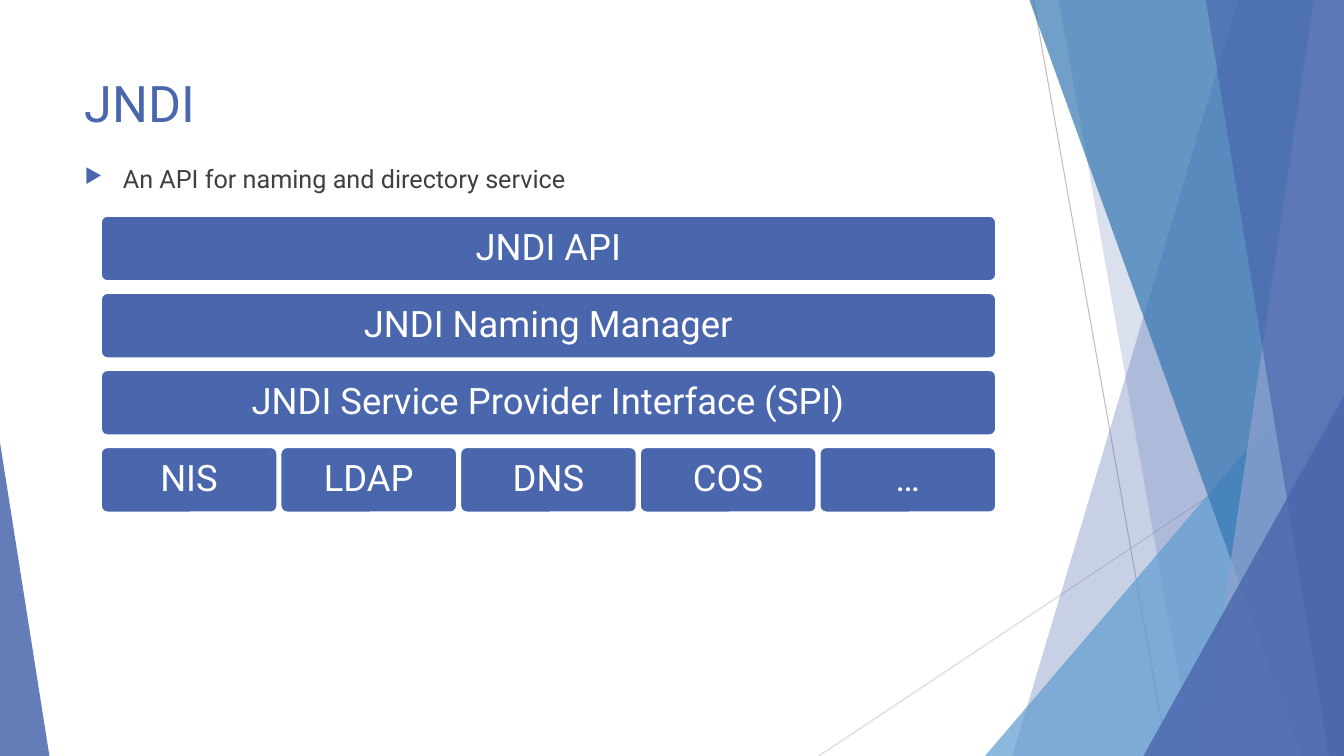
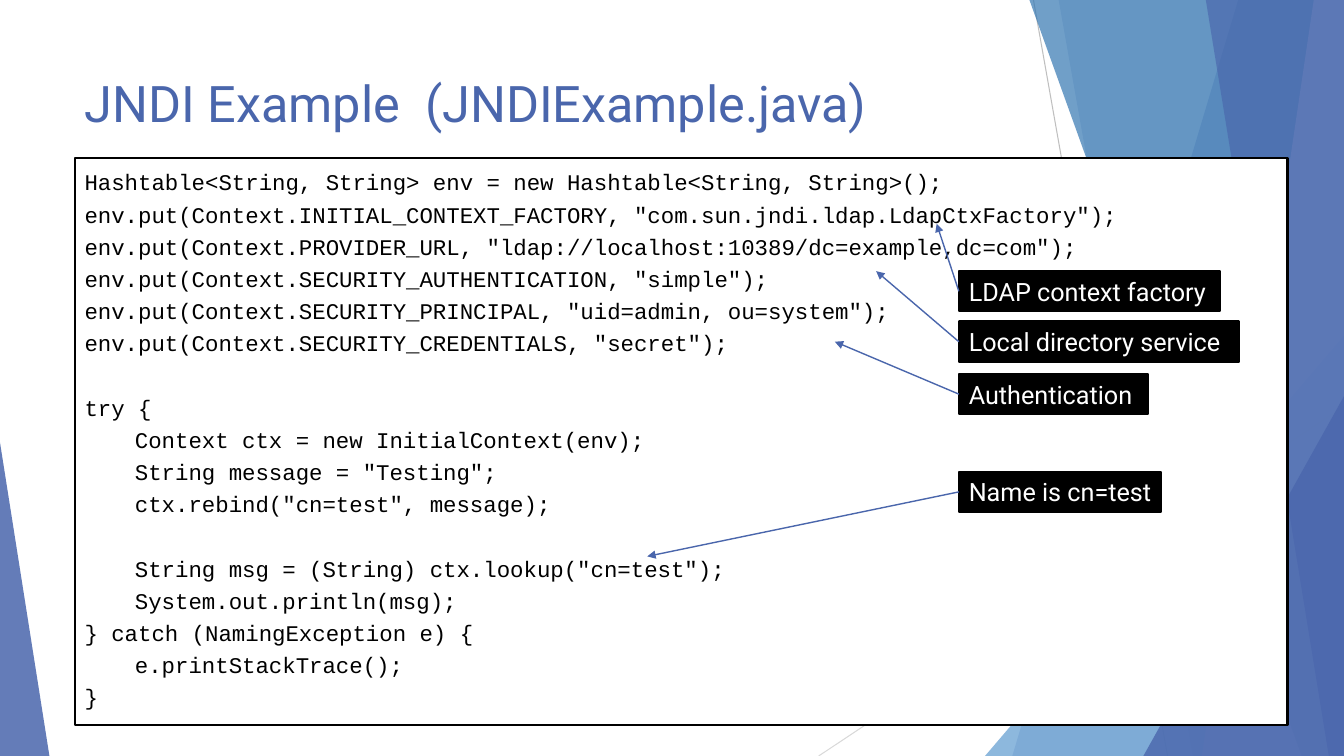
from lxml import etree
from pptx import Presentation
from pptx.dml.color import RGBColor
from pptx.enum.shapes import MSO_CONNECTOR, MSO_SHAPE
from pptx.enum.text import MSO_ANCHOR, PP_ALIGN
from pptx.oxml.ns import qn
from pptx.util import Pt

PX = 9144  # 100 px to the inch
WIDE, HIGH = 1333, 750
BLUE, SKY, DEEP, PALE = "4A66AC", "629DD1", "3477B2", "90A2CF"
BLACK, WHITE, DARK = "000000", "FFFFFF", "404040"
SANS, MONO = "Roboto", "Courier New"

# Backdrop, from back to front
RAYS = [((1025, 0), (1158, 750), "BFBFBF"), ((1333, 403), (812, 750), "D9D9D9")]
FACETS = [  # band: left edge at top and bottom; wedge: box and peak
    ("band", (1228, 1004), BLUE, 30),
    ("band", (1050, 1183), BLUE, 20),
    ("wedge", (977, 333, 356, 417, 1), SKY, 72),
    ("band", (1021, 1291), DEEP, 70),
    ("band", (1303, 1192), PALE, 70),
    ("band", (1196, 1318), BLUE, 65),
    ("wedge", (1134, 393, 199, 357, 1), BLUE, 80),
    ("wedge", (0, 439, 49, 311, 0), BLUE, 85),
]

STACK = [
    ["JNDI API"],
    ["JNDI Naming Manager"],
    ["JNDI Service Provider Interface (SPI)"],
    ["NIS", "LDAP", "DNS", "COS", "…"],
]

CODE = """Hashtable<String, String> env = new Hashtable<String, String>();
env.put(Context.INITIAL_CONTEXT_FACTORY, "com.sun.jndi.ldap.LdapCtxFactory");
env.put(Context.PROVIDER_URL, "ldap://localhost:10389/dc=example,dc=com");
env.put(Context.SECURITY_AUTHENTICATION, "simple");
env.put(Context.SECURITY_PRINCIPAL, "uid=admin, ou=system");
env.put(Context.SECURITY_CREDENTIALS, "secret");

try {
\tContext ctx = new InitialContext(env);
\tString message = "Testing";
\tctx.rebind("cn=test", message);

\tString msg = (String) ctx.lookup("cn=test");
\tSystem.out.println(msg);
} catch (NamingException e) {
\te.printStackTrace();
}"""

NOTES = [  # text, top, width, arrow tip
    ("LDAP context factory", 269, 259, (929, 222)),
    ("Local directory service", 319, 278, (869, 269)),
    ("Authentication", 371, 188, (828, 339)),
    ("Name is cn=test", 468, 201, (642, 552)),
]


def emu(*nums):
    return [round(n * PX) for n in nums]


def rgb(code):
    return RGBColor.from_string(code)


def put(frame, text, size=18, font=SANS, color=WHITE, align=PP_ALIGN.LEFT,
        anchor=MSO_ANCHOR.TOP, lead=None, gap=0, indent=0):
    """Add one paragraph, in the first one if that is still empty."""
    frame.word_wrap = True
    frame.vertical_anchor = anchor
    para = frame.paragraphs[0]
    if para.runs:
        para = frame.add_paragraph()
    para.alignment = align
    para.space_before = Pt(gap)
    if lead:
        para.line_spacing = lead
    if indent:
        para._p.get_or_add_pPr().set("marL", str(indent * PX))
    run = para.add_run()
    run.text = text
    run.font.size, run.font.name = Pt(size), font
    run.font.color.rgb = rgb(color)
    return para


def paint(shape, fill, line=None, alpha=100):
    shape.shadow.inherit = False
    shape.fill.solid()
    shape.fill.fore_color.rgb = rgb(fill)
    if alpha < 100:
        tint = shape.element.spPr.find(".//" + qn("a:srgbClr"))
        etree.SubElement(tint, qn("a:alpha")).set("val", str(alpha * 1000))
    if line:
        shape.line.color.rgb = rgb(line)
        shape.line.width = Pt(1.5)
    else:
        shape.line.fill.background()
    return shape


def box(slide, kind, place, fill, line=None, alpha=100):
    shape = slide.shapes.add_shape(kind, *emu(*place))
    return paint(shape, fill, line, alpha)


def link(slide, start, end, color, width, head=False):
    line = slide.shapes.add_connector(MSO_CONNECTOR.STRAIGHT, *emu(*start, *end))
    line.line.color.rgb = rgb(color)
    line.line.width = Pt(width)
    if head:
        stroke = line.element.spPr.find(qn("a:ln"))
        etree.SubElement(stroke, qn("a:tailEnd")).set("type", "triangle")
    etree.SubElement(line.element.spPr, qn("a:effectLst"))
    return line


def facet(slide, kind, place, color, alpha):
    if kind == "wedge":
        *area, peak = place
        shape = box(slide, MSO_SHAPE.ISOSCELES_TRIANGLE, area, color, alpha=alpha)
        shape.adjustments[0] = peak
        return shape
    top, base = place
    path = slide.shapes.build_freeform(top, 0, scale=PX)
    path.add_line_segments([(WIDE, 0), (WIDE, HIGH), (base, HIGH)], close=True)
    return paint(path.convert_to_shape(), color, alpha=alpha)


def backdrop(slide):
    """Draw the backdrop and move it to the layout, behind its placeholders."""
    parts = [link(slide, *ray, 0.75) for ray in RAYS]
    parts += [facet(slide, *item) for item in FACETS]
    tree = slide.slide_layout.shapes.element
    for pos, part in enumerate(parts):
        part.element.find(".//" + qn("p:cNvPr")).set("id", str(20 + pos))
        tree.insert(2 + pos, part.element)


def start(deck, title):
    slide = deck.slides.add_slide(deck.slide_layouts[5])
    head = slide.shapes.title
    head.left, head.top, head.width, head.height = emu(74, 67, 940, 80)
    put(head.text_frame, title, size=36, color=BLUE)
    return slide


def bullet(para):
    props = para._p.get_or_add_pPr()
    props.set("marL", str(38 * PX))
    props.set("indent", str(-38 * PX))
    tint = etree.SubElement(props, qn("a:buClr"))
    etree.SubElement(tint, qn("a:srgbClr")).set("val", BLUE)
    etree.SubElement(props, qn("a:buSzPct")).set("val", "80000")
    etree.SubElement(props, qn("a:buChar")).set("char", "▶")


def stack(slide):
    left, top, width, high, pitch, gap = 100, 214, 888, 65, 76.5, 3
    for row, names in enumerate(STACK):
        cell = (width - gap * (len(names) - 1)) / len(names)
        for col, name in enumerate(names):
            place = (left + col * (cell + gap), top + row * pitch, cell, high)
            tile = box(slide, MSO_SHAPE.ROUNDED_RECTANGLE, place, BLUE, WHITE)
            tile.adjustments[0] = 0.1
            put(tile.text_frame, name, size=26, align=PP_ALIGN.CENTER,
                anchor=MSO_ANCHOR.MIDDLE, lead=0.9)


def listing(slide):
    pitch, gap = 23, 0
    panel = box(slide, MSO_SHAPE.RECTANGLE, (74, 157, 1203, 562), WHITE, BLACK)
    for line in CODE.splitlines():
        if not line:
            gap = pitch
            continue
        put(panel.text_frame, line.strip(), size=16, font=MONO, color=BLACK,
            lead=Pt(pitch), gap=gap, indent=50 * line.count("\t"))
        gap = 0


def notes(slide):
    left, high = 951, 40
    for text, top, width, tip in NOTES:
        note = box(slide, MSO_SHAPE.RECTANGLE, (left, top, width, high), BLACK, BLACK)
        put(note.text_frame, text, anchor=MSO_ANCHOR.MIDDLE)
        arrow = link(slide, (left, top + high / 2), tip, BLUE, 1, head=True)
        arrow.begin_connect(note, 1)


def main():
    deck = Presentation()
    deck.slide_width, deck.slide_height = emu(WIDE, HIGH)

    first = start(deck, "JNDI")
    backdrop(first)
    body = first.shapes.add_textbox(*emu(74, 157, 940, 45))
    bullet(put(body.text_frame, "An API for naming and directory service", color=DARK))
    stack(first)

    second = start(deck, "JNDI Example  (JNDIExample.java)")
    listing(second)
    notes(second)
    deck.save("out.pptx")


if __name__ == "__main__":
    main()
